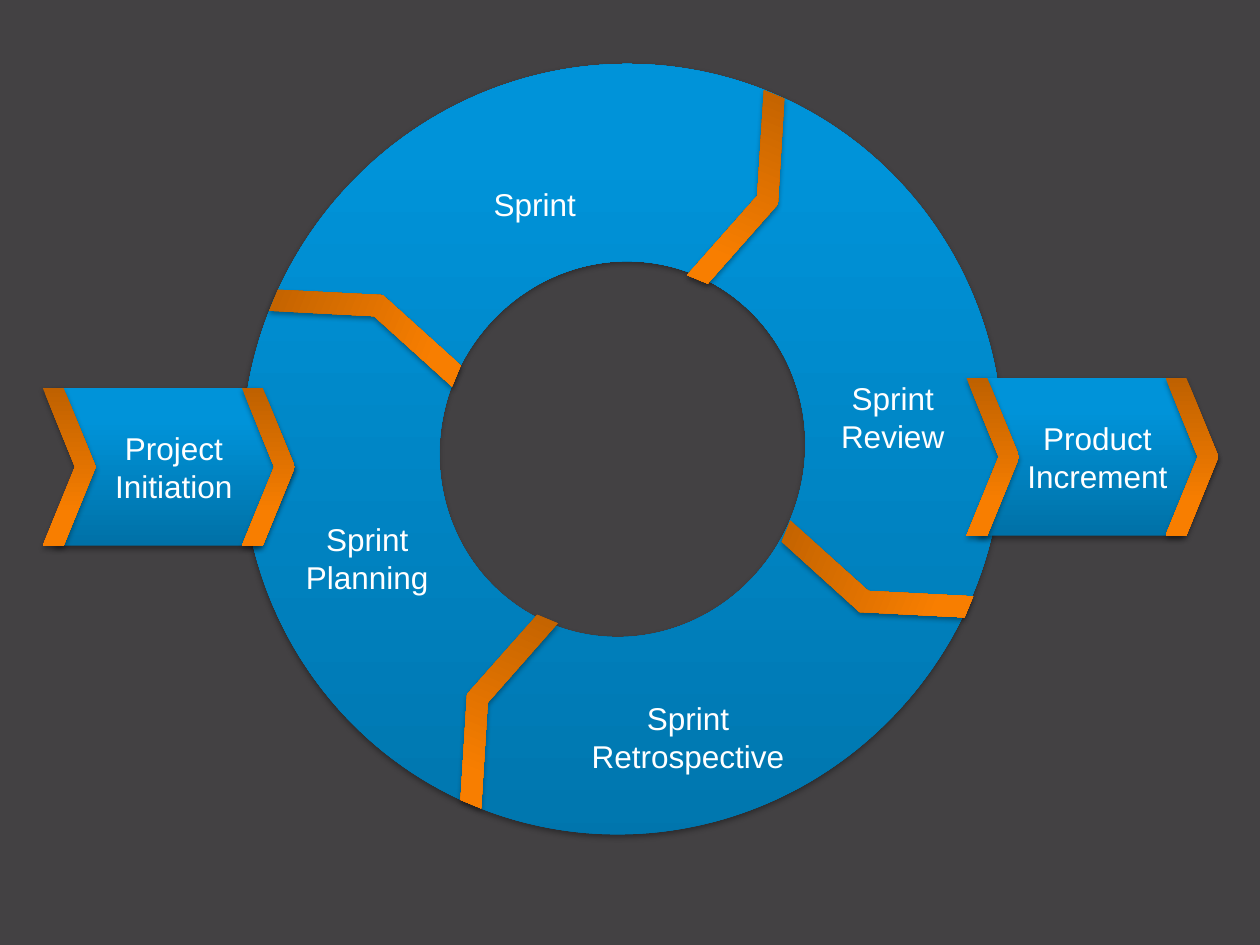
import pptx
import pptx.dml.color
import pptx.enum.shapes
import pptx.enum.text
import pptx.oxml
import pptx.oxml.ns
import pptx.util

Inches = pptx.util.Inches
Pt = pptx.util.Pt
SHAPE = pptx.enum.shapes.MSO_SHAPE
qn = pptx.oxml.ns.qn

COLORS = {
    "background": "434143",
    "text": "FFFFFF",
    "shadow": "000000",
    "blue": {0: "0071A7", 80: "0093D9", 100: "0094DA"},
    "orange": {0: "BF6100", 80: "F87E00", 100: "F97F00"},
}
FONT = {"name": "Arial", "size": Pt(18)}
MARGINS = {"margin_left": Inches(0.05), "margin_right": Inches(0.05)}
ACCENT_W = 0.42
ACCENT_ADJ = 0.607


def rgb(name):
    return pptx.dml.color.RGBColor.from_string(COLORS[name])


def set_all(obj, values):
    for name, value in values.items():
        setattr(obj, name, value)


def a_xml(tag, attrs, inner):
    return pptx.oxml.parse_xml(
        f'<a:{tag} {pptx.oxml.ns.nsdecls("a")} {attrs}>{inner}</a:{tag}>')


def add_gradient(sp, stops, turns):
    sp.fill.gradient()
    sp.fill.gradient_angle = 90
    grad = sp._element.spPr.find(qn("a:gradFill"))
    grad.set("rotWithShape", "1" if turns else "0")
    gs_lst = grad.find(qn("a:gsLst"))
    for gs in list(gs_lst):
        gs_lst.remove(gs)
    for pos, color in stops.items():
        gs_lst.append(a_xml("gs", f'pos="{pos * 1000}"', f'<a:srgbClr val="{color}"/>'))


def add_shadow(sp):
    sp.shadow.inherit = False
    sp._element.spPr.find(qn("a:effectLst")).append(a_xml(
        "outerShdw",
        f'blurRad="{Pt(3.1)}" dist="{Pt(1.8)}" dir="5400000" rotWithShape="0"',
        f'<a:srgbClr val="{COLORS["shadow"]}"><a:alpha val="35000"/></a:srgbClr>'))


def add_part(s, shape, box, adj, color, rot=0, flip=None, turns=True):
    sp = s.shapes.add_shape(shape, *map(Inches, box))
    sp.adjustments[0] = adj
    sp.rotation = rot
    if flip:
        sp._element.spPr.find(qn("a:xfrm")).set(flip, "1")
    add_gradient(sp, COLORS[color], turns)
    sp.line.fill.background()
    add_shadow(sp)
    return sp


def write_text(sp, lines):
    tf = sp.text_frame
    tf.word_wrap = True
    for i, line in enumerate(lines):
        p = tf.paragraphs[0] if i == 0 else tf.add_paragraph()
        p.alignment = pptx.enum.text.PP_ALIGN.CENTER
        r = p.add_run()
        r.text = line
        set_all(r.font, FONT)
        r.font.color.rgb = rgb("text")
    return tf


def add_ring(s, box, dividers):
    add_part(s, SHAPE.DONUT, box, 0.26, "blue", rot=22.5, turns=False)
    for divider_box, rot, flip in dividers:
        add_part(s, SHAPE.CHEVRON, divider_box, ACCENT_ADJ, "orange", rot, flip)


def add_step(s, box, label):
    x, y, w, h = box
    sp = add_part(s, SHAPE.CHEVRON, box, 0.233, "blue")
    tf = write_text(sp, [label])
    tf.vertical_anchor = pptx.enum.text.MSO_ANCHOR.MIDDLE
    set_all(tf, MARGINS)
    for left in (x + w - ACCENT_W, x - 0.08):
        add_part(s, SHAPE.CHEVRON, (left, y, ACCENT_W, h), ACCENT_ADJ,
                 "orange", 180, "flipH")


def add_label(s, box, lines):
    write_text(s.shapes.add_textbox(*map(Inches, box)), lines)


def main():
    prs = pptx.Presentation()
    set_all(prs, {"slide_width": Inches(10), "slide_height": Inches(7.5)})
    s = prs.slides.add_slide(prs.slide_layouts[6])
    s.background.fill.solid()
    s.background.fill.fore_color.rgb = rgb("background")

    add_ring(s, (1.93, 0.5, 6.02, 6.13), [
        ((6.68, 3.86, 0.46, 1.57), 112.5, None),
        ((3.69, 4.8, 0.45, 1.59), 202.5, None),
        ((2.72, 1.77, 0.46, 1.57), 292.5, "flipV"),
        ((5.74, 0.74, 0.45, 1.59), 202.5, "flipH"),
    ])
    add_step(s, (0.42, 3.08, 1.92, 1.25), "Project Initiation")
    add_step(s, (7.75, 3, 1.92, 1.25), "Product Increment")
    add_label(s, (2.25, 4.08, 1.33, 0.71), ["Sprint", "Planning"])
    add_label(s, (3.58, 1.42, 1.33, 0.4), ["Sprint"])
    add_label(s, (6.42, 2.96, 1.33, 0.71), ["Sprint", "Review"])
    add_label(s, (4.5, 5.5, 1.92, 0.71), ["Sprint", "Retrospective"])
    prs.save("out.pptx")


if __name__ == "__main__":
    main()
